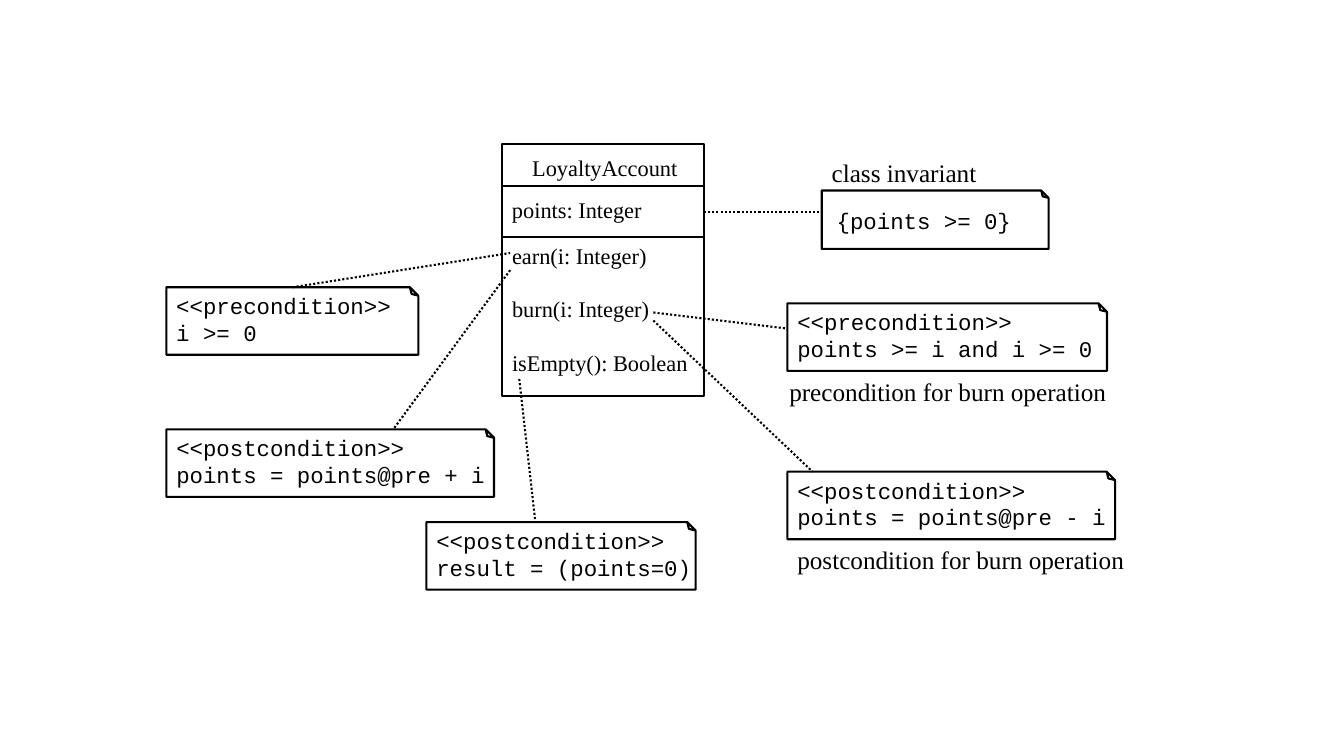
from pptx import Presentation
from pptx.dml.color import RGBColor
from pptx.enum.dml import MSO_LINE_DASH_STYLE as DASH
from pptx.enum.shapes import MSO_CONNECTOR, MSO_SHAPE
from pptx.enum.text import MSO_AUTO_SIZE as AUTO_SIZE
from pptx.oxml.ns import qn
from pptx.util import Emu, Pt

PX = 9144  # 100 px to the inch
BLACK = "000000"
SERIF = "Times New Roman"
MONO = "Courier New"
BLANK_LAYOUT = 6
NOTE_HEIGHT = 67

# left, top, width, text width, lines
CONDITIONS = [
    (165, 285, 250, 234, ["<<precondition>>", "i >= 0"]),
    (165, 426, 325, 341, ["<<postcondition>>", "points = points@pre + i"]),
    (423, 518, 267, 274, ["<<postcondition>>", "result = (points=0)"]),
    (781, 301, 317, 328, ["<<precondition>>", "points >= i and i >= 0"]),
    (781, 468, 325, 341, ["<<postcondition>>", "points = points@pre - i"]),
]

# left, top, width, wording
CAPTIONS = [
    (815, 151, 164, "class invariant"),
    (773, 368, 335, "precondition for burn operation"),
    (781, 535, 344, "postcondition for burn operation"),
]

# from x, from y, to x, to y
CONDITION_LINKS = [
    (290, 285, 506, 251),
    (506, 268, 390, 426),
    (515, 376, 531, 518),
    (648, 310, 781, 326),
    (648, 318, 806, 468),
]


def px(*lengths):
    return [Emu(length * PX) for length in lengths]


def color(hex_code):
    return RGBColor.from_string(hex_code)


def add_outline(slide, preset, left, top, width, height):
    outline = slide.shapes.add_shape(preset, *px(left, top, width, height))
    outline.shadow.inherit = False
    outline.fill.background()
    outline.line.color.rgb = color(BLACK)
    outline.line.width = Pt(1.5)
    return outline


def add_note(slide, left, top, width, height):
    note = add_outline(slide, MSO_SHAPE.FOLDED_CORNER, left, top, width, height)
    properties = note._element.spPr
    # Set the size of the fold and turn it to the top right corner
    guides = properties.find(qn("a:prstGeom")).find(qn("a:avLst"))
    fold = {"name": "adj", "fmla": "val 12500"}
    guides.append(guides.makeelement(qn("a:gd"), fold))
    properties.find(qn("a:xfrm")).set("flipV", "1")


def add_text(slide, left, top, width, height, lines, font, size=16, gap=0):
    box = slide.shapes.add_textbox(*px(left, top, width, height))
    frame = box.text_frame
    frame.text = "\n".join(lines)
    frame.word_wrap = False
    frame.auto_size = AUTO_SIZE.SHAPE_TO_FIT_TEXT
    for paragraph in frame.paragraphs:
        for run in paragraph.runs:
            run.font.name = font
            run.font.size = Pt(size)
            run.font.color.rgb = color(BLACK)
    for paragraph in frame.paragraphs[:-1]:
        paragraph.space_after = Pt(gap)


def add_link(slide, x1, y1, x2, y2):
    link = slide.shapes.add_connector(MSO_CONNECTOR.STRAIGHT, *px(x1, y1, x2, y2))
    link.line.color.rgb = color(BLACK)
    link.line.width = Pt(1.5)
    link.line.dash_style = DASH.ROUND_DOT
    properties = link._element.spPr
    properties.append(properties.makeelement(qn("a:effectLst"), {}))
    return link


def add_class(slide):
    add_outline(slide, MSO_SHAPE.RECTANGLE, 498, 143, 200, 250)
    attributes = add_outline(slide, MSO_SHAPE.RECTANGLE, 498, 185, 200, 50)
    add_text(slide, 518, 148, 172, 37, ["LoyaltyAccount"], SERIF)
    add_text(slide, 498, 190, 163, 37, ["points: Integer"], SERIF)
    operations = ["earn(i: Integer)", "burn(i: Integer)", "isEmpty(): Boolean"]
    add_text(slide, 498, 235, 195, 144, operations, SERIF, gap=19.2)
    return attributes


def main():
    deck = Presentation()
    deck.slide_width, deck.slide_height = px(1333, 750)
    slide = deck.slides.add_slide(deck.slide_layouts[BLANK_LAYOUT])

    # Class with its attribute and operations
    attributes = add_class(slide)

    # Invariant, joined to the attribute compartment
    add_note(slide, 815, 189, 225, 58)
    add_text(slide, 820, 201, 196, 37, ["{points >= 0}"], MONO)
    invariant_link = add_link(slide, 698, 210, 815, 210)
    invariant_link.begin_connect(attributes, 3)

    # Conditions of the operations
    for left, top, width, text_width, lines in CONDITIONS:
        add_note(slide, left, top, width, NOTE_HEIGHT)
        add_text(slide, left, top, text_width, 64, lines, MONO)
    for ends in CONDITION_LINKS:
        add_link(slide, *ends)

    # Captions
    for left, top, width, wording in CAPTIONS:
        add_text(slide, left, top, width, 40, [wording], SERIF, size=18)

    deck.save("out.pptx")


if __name__ == "__main__":
    main()
